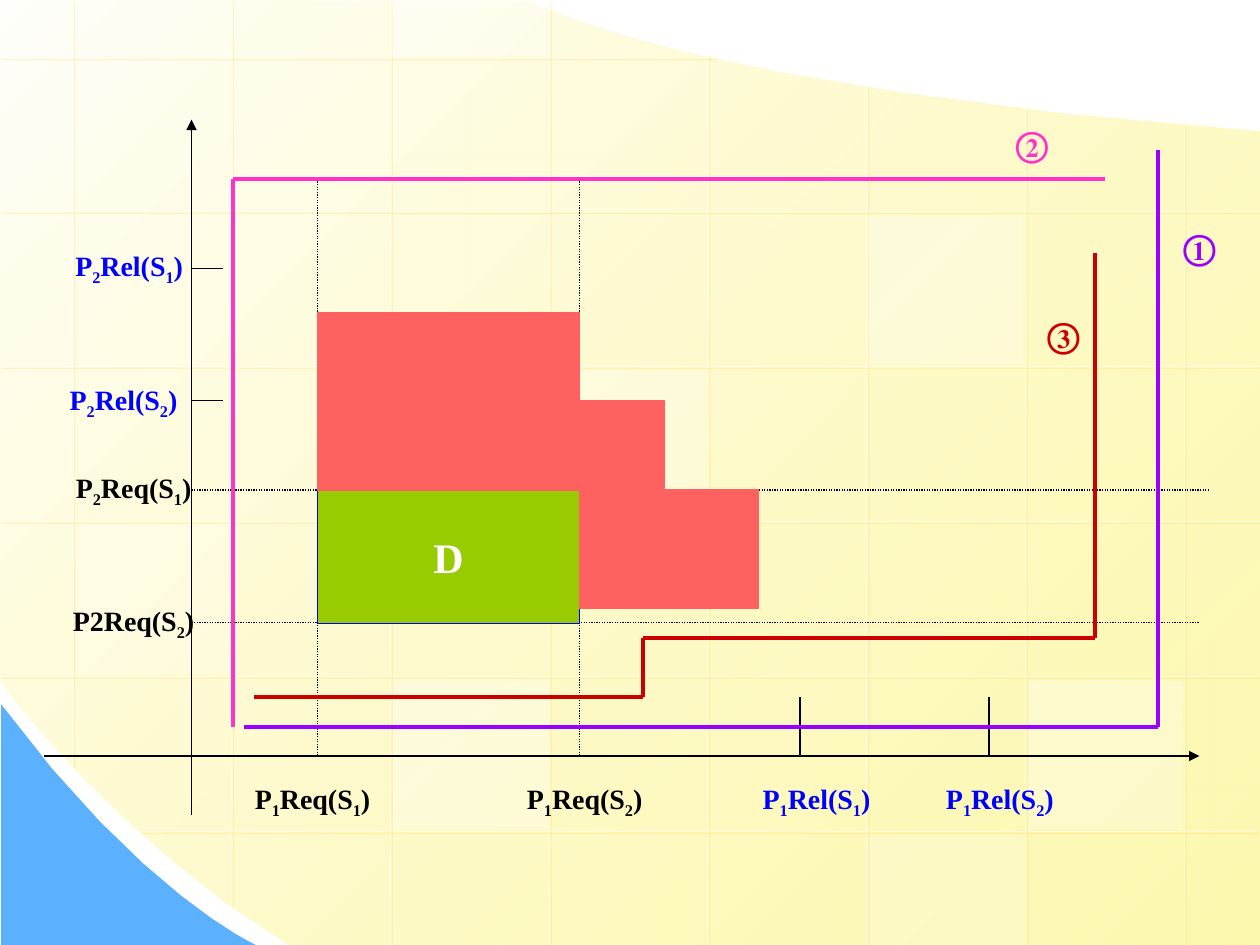
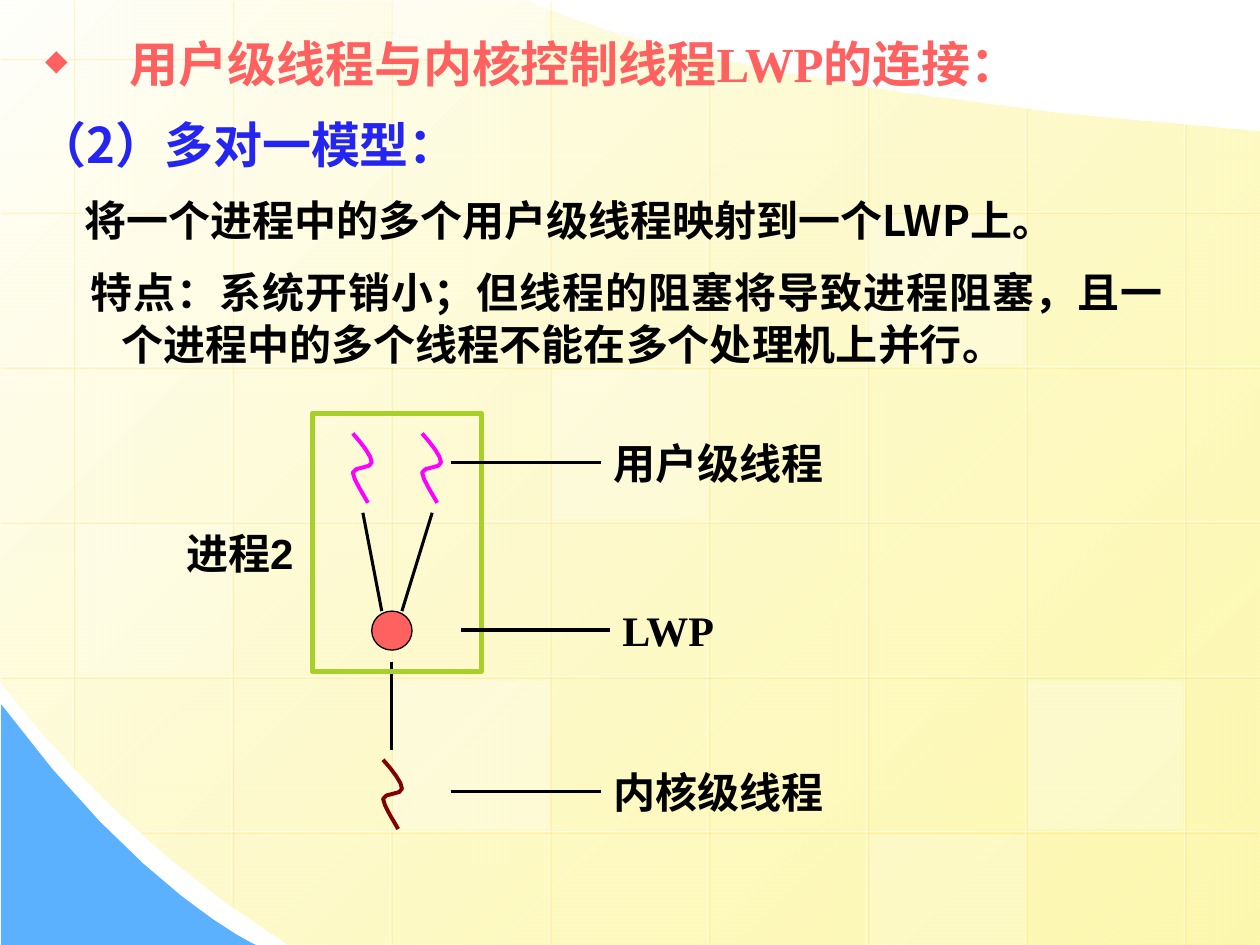
from itertools import pairwise

from lxml import etree
from pptx import Presentation
from pptx.dml.color import RGBColor
from pptx.enum.dml import MSO_LINE
from pptx.enum.shapes import MSO_CONNECTOR, MSO_SHAPE
from pptx.enum.text import MSO_ANCHOR, PP_ALIGN
from pptx.oxml.ns import qn
from pptx.util import Pt

PX = 9144  # 100 px to the inch
STRAIGHT = MSO_CONNECTOR.STRAIGHT
RECTANGLE, OVAL, PROCESS = MSO_SHAPE.RECTANGLE, MSO_SHAPE.OVAL, MSO_SHAPE.FLOWCHART_PROCESS
DOTTED = MSO_LINE.ROUND_DOT
TOP, MIDDLE = MSO_ANCHOR.TOP, MSO_ANCHOR.MIDDLE
CENTER, JUSTIFY = PP_ALIGN.CENTER, PP_ALIGN.JUSTIFY
LEFT_SIDE = 1


class Theme:
    black = RGBColor.from_string("000000")
    white = RGBColor.from_string("FFFFFF")
    paper_light = RGBColor.from_string("FFFFFB")
    paper_yellow = RGBColor.from_string("FDF58D")
    corner = RGBColor.from_string("5CB1FE")
    coral = RGBColor.from_string("FF6161")
    green = RGBColor.from_string("99CC00")
    frame_green = RGBColor.from_string("A8D02A")
    blue = RGBColor.from_string("0000FF")
    heading_blue = RGBColor.from_string("2525F3")
    violet = RGBColor.from_string("9900FF")
    pink = RGBColor.from_string("FF33CC")
    red = RGBColor.from_string("CC0000")
    magenta = RGBColor.from_string("FF00FF")
    maroon = RGBColor.from_string("800000")
    grid_shadow = "FFCC00"
    serif, sans, chinese = "Times New Roman", "Arial", "Noto Sans CJK SC"
    axis_size, mark_size, text_size, heading_size = 16, 20, 24, 28
    thin, medium, bold, frame = 0.75, 1.75, 2.25, 3


def add_line(slide, begin, end, color=Theme.black, width=Theme.thin):
    connector = slide.shapes.add_connector(
        STRAIGHT, *(value * PX for value in (*begin, *end)))
    connector.line.color.rgb = color
    connector.line.width = Pt(width)
    etree.SubElement(connector.element.spPr, qn("a:effectLst"))
    return connector


def add_runs(paragraph, text, size, color, font=Theme.serif):
    """Add bold runs; the parts between underscores are set as subscripts."""
    for index, part in enumerate(text.split("_")):
        run = paragraph.add_run()
        run.text = part
        run.font.size = Pt(size)
        run.font.bold = True
        run.font.color.rgb = color
        run.font.name = font
        properties = run.font._element
        if index % 2:
            properties.set("baseline", "-25000")
        if any(letter >= "一" for letter in part):
            etree.SubElement(properties, qn("a:ea"), typeface=Theme.chinese)


# Outlines: pieces per curve, a start, then straight steps (one point) or curves (three points)
outline_steps = {
    "paper": (8, (1000, 104), [(1000, 750)], [(230, 750)],
              [(86, 661), (-1, 539), (0, 539)], [(-1, -1)], [(421, 1)],
              [(421, 1), (537, 69), (1000, 104)]),
    "corner": (8, (1, 559), [(1, 750)], [(203, 750)], [(203, 750), (112, 709), (1, 559)]),
    "squiggle": (4, (0, 0), [(8, 9), (15, 18), (15, 23)],
                 [(15, 28), (1, 26), (0, 31)], [(0, 36), (10, 51), (12, 55)]),
}
outlines = {}
for name, (pieces, start, *steps) in outline_steps.items():
    points = [start]
    for step in steps:
        if len(step) == 1:
            points += step
            continue
        controls = [points[-1], *step]
        for t in (count / pieces for count in range(1, pieces + 1)):
            weights = (1 - t) ** 3, 3 * t * (1 - t) ** 2, 3 * t * t * (1 - t), t ** 3
            points.append(tuple(sum(weight * control[axis] for weight, control in zip(weights, controls))
                                for axis in (0, 1)))
    outlines[name] = points

presentation = Presentation()
presentation.slide_width = 1000 * PX
presentation.slide_height = 750 * PX
blank = presentation.slide_layouts[6]
graph_slide, model_slide = [presentation.slides.add_slide(blank) for _ in range(2)]

# Backdrop: built on the first slide, then moved to the master
for name in ("paper", "corner"):
    points = [(round(x * PX), round(y * PX)) for x, y in outlines[name]]
    builder = graph_slide.shapes.build_freeform(*points[0])
    builder.add_line_segments(points[1:], close=True)
    shape = builder.convert_to_shape()
    shape.shadow.inherit = False
    shape.line.fill.background()
    if name == "corner":
        shape.fill.solid()
        shape.fill.fore_color.rgb = Theme.corner
        continue
    shape.fill.gradient()
    shape.fill.gradient_angle = 315
    for stop, color in zip(shape.fill.gradient_stops, (Theme.paper_light, Theme.paper_yellow)):
        stop.color.rgb = color
    last_color = list(shape.element.spPr.iter(qn("a:srgbClr")))[-1]
    etree.SubElement(last_color, qn("a:alpha"), val="70000")

column_spans = [(0, 609), (0, 719), (0, 750), (0, 752), (43, 752), (68, 752), (85, 752), (98, 752)]
row_spans = [(0, 568)] + [(0, 1001)] * 4 + [(111, 997)]
grid = [((58 + 126 * i, top), (58 + 126 * i, bottom)) for i, (top, bottom) in enumerate(column_spans)]
for i, (left, right) in enumerate(row_spans):
    y = int(46 + 122.8 * i)
    grid.append(((right, y), (left, y)))
for begin, end in grid:
    properties = add_line(graph_slide, begin, end, Theme.white).element.spPr
    line_color = next(properties.iter(qn("a:srgbClr")))
    etree.SubElement(line_color, qn("a:alpha"), val="50000")
    shadow = etree.SubElement(properties.find(qn("a:effectLst")), qn("a:outerShdw"),
                              blurRad="0", dist="17780", dir="2700000")
    shadow_color = etree.SubElement(shadow, qn("a:srgbClr"), val=Theme.grid_shadow)
    etree.SubElement(shadow_color, qn("a:alpha"), val="34000")

panels = [  # left, top, height, opacity in percent
    (438, 294, 118, 25), (816, 540, 118, 30), (60, 416, 118, 20), (690, 663, 87, 20),
    (311, 0, 44, 40), (312, 540, 118, 30), (689, 171, 118, 30),
]
for left, top, height, opacity in panels:
    panel = graph_slide.shapes.add_shape(RECTANGLE, left * PX, top * PX, 123 * PX, height * PX)
    panel.shadow.inherit = False
    panel.line.fill.background()
    panel.fill.solid()
    panel.fill.fore_color.rgb = Theme.white
    panel_color = next(panel.element.spPr.iter(qn("a:srgbClr")))
    etree.SubElement(panel_color, qn("a:alpha"), val=str(opacity * 1000))

master_tree = presentation.slide_master.shapes.element
for number, shape in enumerate(list(graph_slide.shapes), 100):
    next(shape.element.iter(qn("p:cNvPr"))).set("id", str(number))
    master_tree.append(shape.element)

# Slide 1: resource graph of two processes
for begin, end in [((152, 647), (152, 95)), ((35, 600), (952, 600))]:
    axis = add_line(graph_slide, begin, end)
    etree.SubElement(axis.element.spPr.find(qn("a:ln")), qn("a:tailEnd"), type="triangle")

for begin, end in [((252, 142), (252, 600)), ((460, 142), (460, 600)),
                   ((152, 494), (952, 494)), ((152, 389), (960, 389))]:
    add_line(graph_slide, begin, end).line.dash_style = DOTTED

for x in (635, 785):
    add_line(graph_slide, (x, 553), (x, 600))
for y in (318, 213):
    add_line(graph_slide, (152, y), (177, y))

routes = [
    (Theme.violet, [(194, 577), (919, 577), (919, 119)]),
    (Theme.red, [(202, 553), (510, 553), (510, 506), (869, 506), (869, 201)]),
    (Theme.pink, [(185, 577), (185, 142), (877, 142)]),
]
for color, points in routes:
    for begin, end in pairwise(points):
        add_line(graph_slide, begin, end, color, Theme.bold)

mark_box, axis_box, wide_box = (50, 59), (108, 47), (117, 47)
graph_labels = [
    ("①", (927, 166), mark_box, Theme.mark_size, Theme.violet),
    ("③", (819, 236), mark_box, Theme.mark_size, Theme.red),
    ("②", (794, 84), mark_box, Theme.mark_size, Theme.pink),
    ("P_2_Req(S_1_)", (52, 365), axis_box, Theme.axis_size, Theme.black),
    ("P2Req(S_2_)", (52, 471), axis_box, Theme.axis_size, Theme.black),
    ("P_1_Req(S_2_)", (410, 612), axis_box, Theme.axis_size, Theme.black),
    ("P_1_Req(S_1_)", (194, 612), axis_box, Theme.axis_size, Theme.black),
    ("P_1_Rel(S_2_)", (735, 612), wide_box, Theme.axis_size, Theme.blue),
    ("P_1_Rel(S_1_)", (594, 612), axis_box, Theme.axis_size, Theme.blue),
    ("P_2_Rel(S_2_)", (44, 295), axis_box, Theme.axis_size, Theme.blue),
    ("P_2_Rel(S_1_)", (44, 189), wide_box, Theme.axis_size, Theme.blue),
]
for text, position, size, font_size, color in graph_labels:
    label = graph_slide.shapes.add_textbox(*(value * PX for value in (*position, *size)))
    frame = label.text_frame
    frame.word_wrap = False
    frame.margin_left = frame.margin_right = 0
    frame.vertical_anchor = MIDDLE
    paragraph = frame.paragraphs[0]
    paragraph.alignment = CENTER
    add_runs(paragraph, text, font_size, color)

regions = [
    ("D", (252, 389, 208, 106), Theme.green, Theme.blue),
    ("", (252, 248, 208, 141), Theme.coral, Theme.coral),
    ("", (460, 389, 142, 94), Theme.coral, Theme.coral),
    ("", (460, 318, 67, 70), Theme.coral, Theme.coral),
]
for text, box, fill_color, line_color in regions:
    region = graph_slide.shapes.add_shape(RECTANGLE, *(value * PX for value in box))
    region.shadow.inherit = False
    region.fill.solid()
    region.fill.fore_color.rgb = fill_color
    region.line.color.rgb = line_color
    region.line.width = Pt(Theme.thin)
    if text:
        region.text_frame.word_wrap = False
        add_runs(region.text_frame.paragraphs[0], text, Theme.text_size, Theme.white)

# Slide 2: many-to-one thread model
body = model_slide.shapes.add_shape(PROCESS, 20 * PX, 20 * PX, 913 * PX, 286 * PX)
body.shadow.inherit = False
body.fill.background()
body.line.fill.background()
body.text_frame.word_wrap = True
body.text_frame.vertical_anchor = TOP
body_rows = [  # text, size, colour, font, left margin, first-line indent, bullet
    ("用户级线程与内核控制线程LWP的连接：", Theme.heading_size, Theme.coral, Theme.serif, 73, -67, "◆"),
    ("（2）多对一模型：", Theme.heading_size, Theme.heading_blue, Theme.chinese, 67, -67, ""),
    ("将一个进程中的多个用户级线程映射到一个LWP上。",
     Theme.text_size, Theme.black, Theme.chinese, 67, -30, ""),
    ("特点：系统开销小；但线程的阻塞将导致进程阻塞，且一个进程中的多个线程不能在多个处理机上并行。",
     Theme.text_size, Theme.black, Theme.chinese, 67, -25, ""),
]
for index, (text, size, color, font, margin, indent, bullet) in enumerate(body_rows):
    paragraph = body.text_frame.add_paragraph() if index else body.text_frame.paragraphs[0]
    properties = paragraph._p.get_or_add_pPr()
    properties.set("marL", str(margin * PX))
    properties.set("indent", str(indent * PX))
    if bullet:
        etree.SubElement(properties, qn("a:buSzPct"), val="60000")
        etree.SubElement(properties, qn("a:buChar"), char=bullet)
    paragraph.alignment = JUSTIFY
    paragraph.line_spacing = Pt(round(size * 1.24))
    if index:
        paragraph.space_before = Pt(11)
    add_runs(paragraph, text, size, color, font)

for left, top, color in [(280, 344, Theme.magenta), (335, 344, Theme.magenta), (304, 603, Theme.maroon)]:
    points = [(round((left + x) * PX), round((top + y) * PX)) for x, y in outlines["squiggle"]]
    builder = model_slide.shapes.build_freeform(*points[0])
    builder.add_line_segments(points[1:], close=False)
    thread = builder.convert_to_shape()
    thread.shadow.inherit = False
    thread.fill.background()
    thread.line.color.rgb = color
    thread.line.width = Pt(Theme.bold)

for begin, end in [((288, 407), (303, 485)), ((343, 407), (319, 485)), ((311, 525), (311, 595))]:
    add_line(model_slide, begin, end, width=Theme.medium)

process_frame = model_slide.shapes.add_shape(RECTANGLE, 248 * PX, 328 * PX, 134 * PX, 205 * PX)
process_frame.shadow.inherit = False
process_frame.fill.background()
process_frame.line.color.rgb = Theme.frame_green
process_frame.line.width = Pt(Theme.frame)

lwp_node = model_slide.shapes.add_shape(OVAL, 295 * PX, 485 * PX, 32 * PX, 31 * PX)
lwp_node.shadow.inherit = False
lwp_node.fill.solid()
lwp_node.fill.fore_color.rgb = Theme.coral
lwp_node.line.color.rgb = Theme.black
lwp_node.line.width = Pt(Theme.thin)

model_labels = [  # text, left, middle, width, font, start of the leader line
    ("内核级线程", 477, 628, 205, Theme.sans, 358),
    ("用户级线程", 477, 367, 205, Theme.sans, 358),
    ("LWP", 484, 500, 205, Theme.serif, 366),
    ("进程2", 138, 439, 134, Theme.sans, None),
]
for text, left, middle, width, font, leader_start in model_labels:
    label = model_slide.shapes.add_textbox(left * PX, (middle - 25) * PX, width * PX, 50 * PX)
    label.text_frame.word_wrap = True
    label.text_frame.vertical_anchor = MIDDLE
    add_runs(label.text_frame.paragraphs[0], text, Theme.text_size, Theme.black, font)
    if leader_start:
        leader = add_line(model_slide, (leader_start, middle), (left, middle), width=Theme.medium)
        leader.end_connect(label, LEFT_SIDE)

presentation.save("out.pptx")
